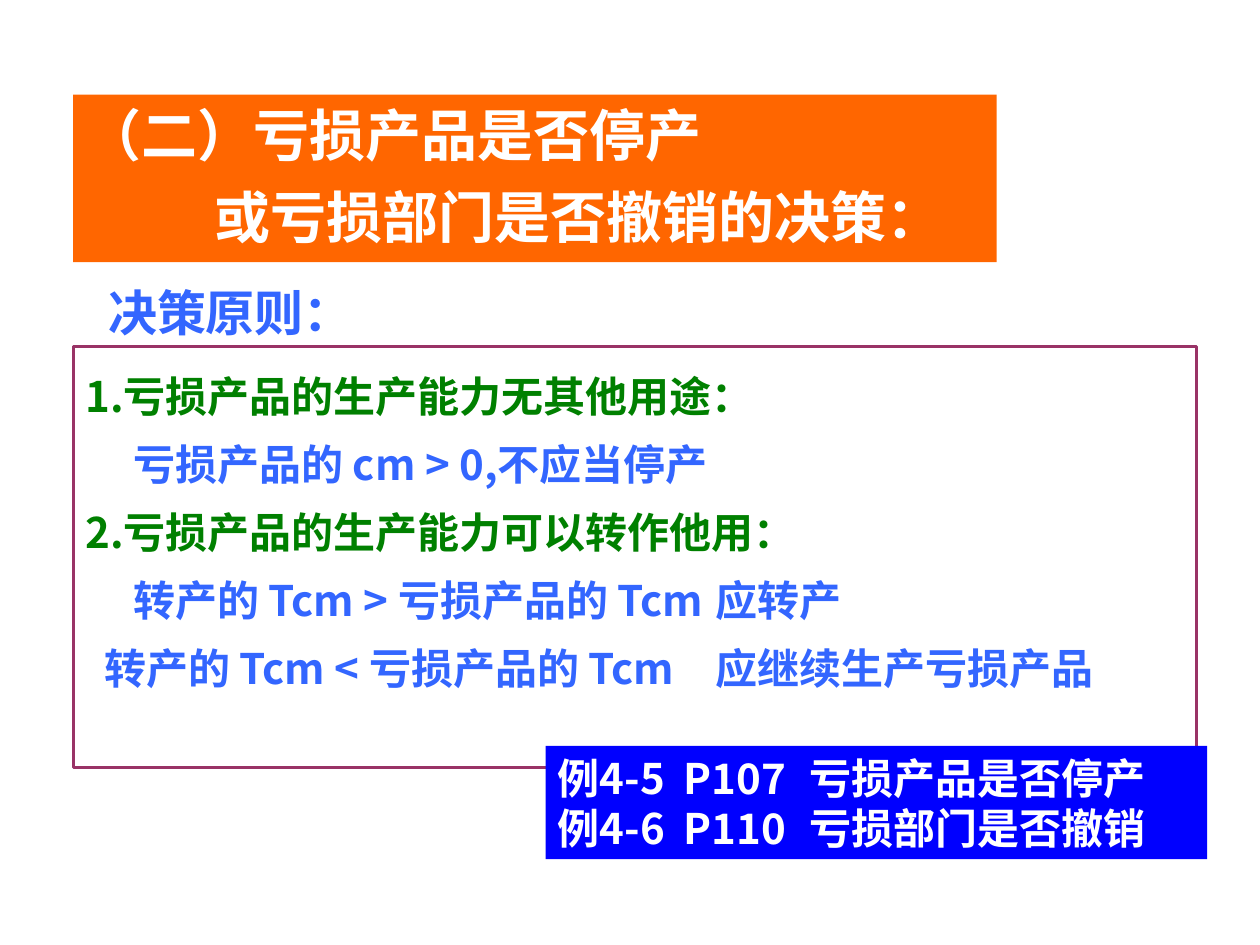
import pptx
import pptx.util
import pptx.dml.color
import pptx.enum.shapes
import pptx.enum.text
from pptx.oxml.ns import qn
from lxml import etree

Inches, Pt = pptx.util.Inches, pptx.util.Pt
RGB = pptx.dml.color.RGBColor.from_string
MSO_SHAPE = pptx.enum.shapes.MSO_SHAPE

THEME = {
    "orange": "FF6600", "plum": "993366", "navy": "0000FF",
    "green": "008000", "blue": "3366FF", "white": "FFFFFF",
    "latin": "Arial", "jp": "Noto Sans CJK JP", "sc": "Noto Sans CJK SC",
    "heading": 32, "label": 28, "text": 24,
}

# Content: each paragraph is (first-line indent, tab stops, runs);
# each run is (text, font, colour)
HEADING = [
    (0, [], [("（二）亏损产品是否停产", "latin", "white")]),
    (1.02, [], [("或亏损部门是否撤销的决策：", "latin", "white")]),
]
LABEL = [(0, [], [("决策原则：", "latin", "blue")])]
RULES = [
    (0, [], [("1.亏损产品的生产能力无其他用途：", "jp", "green")]),
    (0.38, [], [("亏损产品的 cm > 0,不应当停产", "sc", "blue")]),
    (0, [], [("2.亏损产品的生产能力可以转作他用：", "jp", "green")]),
    (0.38, [5.52], [("转产的 Tcm > 亏损产品的 Tcm\t应转产", "sc", "blue")]),
    (0.15, [5.29], [("转产的 Tcm < 亏损产品的 Tcm\t应继续生产亏损产品", "sc", "blue")]),
]
EXAMPLES = [
    (0, [1.06, 2.19], [(f"例{number}\t{page}\t", "jp", "white"), (topic, "sc", "white")])
    for number, page, topic in [
        ("4-5", "P107", "亏损产品是否停产"),
        ("4-6", "P110", "亏损部门是否撤销"),
    ]
]

# Places: left, top, width, height
LEFT = 0.58
PLACES = {
    "heading": (LEFT, 0.75, 7.33, 1.33),
    "rules": (LEFT, 2.75, 8.92, 3.34),
    "label": (0.76, 2.19, 2.14, 0.57),
    "examples": (4.33, 5.92, 5.25, 0.9),
}


def place(sp, name):
    for key, value in zip(("left", "top", "width", "height"), PLACES[name]):
        setattr(sp, key, Inches(value))


def add_box(s, name, fill=None, line=None):
    sp = s.shapes.add_shape(MSO_SHAPE.RECTANGLE, *map(Inches, PLACES[name]))
    sp.shadow.inherit = False
    if fill:
        sp.fill.solid()
        sp.fill.fore_color.rgb = RGB(THEME[fill])
    else:
        sp.fill.background()
    if line:
        sp.line.color.rgb = RGB(THEME[line])
        sp.line.width = Pt(1.75)
    else:
        sp.line.fill.background()
    return sp


def write(sp, paragraphs, size, wrap=True, **spacing):
    tf = sp.text_frame
    frame = {"word_wrap": wrap, "auto_size": pptx.enum.text.MSO_AUTO_SIZE.NONE,
             "vertical_anchor": pptx.enum.text.MSO_ANCHOR.TOP}
    for key, value in frame.items():
        setattr(tf, key, value)
    for i, (indent, tabs, runs) in enumerate(paragraphs):
        p = tf.add_paragraph() if i else tf.paragraphs[0]
        p.alignment = pptx.enum.text.PP_ALIGN.LEFT
        for key, value in spacing.items():
            if i or key != "space_before":
                setattr(p, key, value)
        pPr = p._p.get_or_add_pPr()
        pPr.set("marL", "0")
        pPr.set("indent", str(Inches(indent)))
        if tabs:
            tab_list = etree.SubElement(pPr, qn("a:tabLst"))
            for stop in tabs:
                etree.SubElement(tab_list, qn("a:tab"), pos=str(Inches(stop)), algn="l")
        for text, font, colour in runs:
            r = p.add_run()
            r.text = text
            style = {"name": THEME[font], "size": Pt(THEME[size]), "bold": True}
            for key, value in style.items():
                setattr(r.font, key, value)
            r.font.color.rgb = RGB(THEME[colour])


def main():
    prs = pptx.Presentation()
    prs.slide_width, prs.slide_height = Inches(10), Inches(7.5)
    s = prs.slides.add_slide(prs.slide_layouts[5])

    # Heading band
    title = s.shapes.title
    place(title, "heading")
    title.fill.solid()
    title.fill.fore_color.rgb = RGB(THEME["orange"])
    write(title, HEADING, "heading", space_before=Pt(8))

    # Decision rules in an outlined frame, under their label
    write(add_box(s, "rules", line="plum"), RULES, "text", line_spacing=1.35)
    label = s.shapes.add_textbox(*map(Inches, PLACES["label"]))
    write(label, LABEL, "label", wrap=False)

    # Textbook examples
    write(add_box(s, "examples", fill="navy"), EXAMPLES, "text")

    prs.save("out.pptx")


if __name__ == "__main__":
    main()
